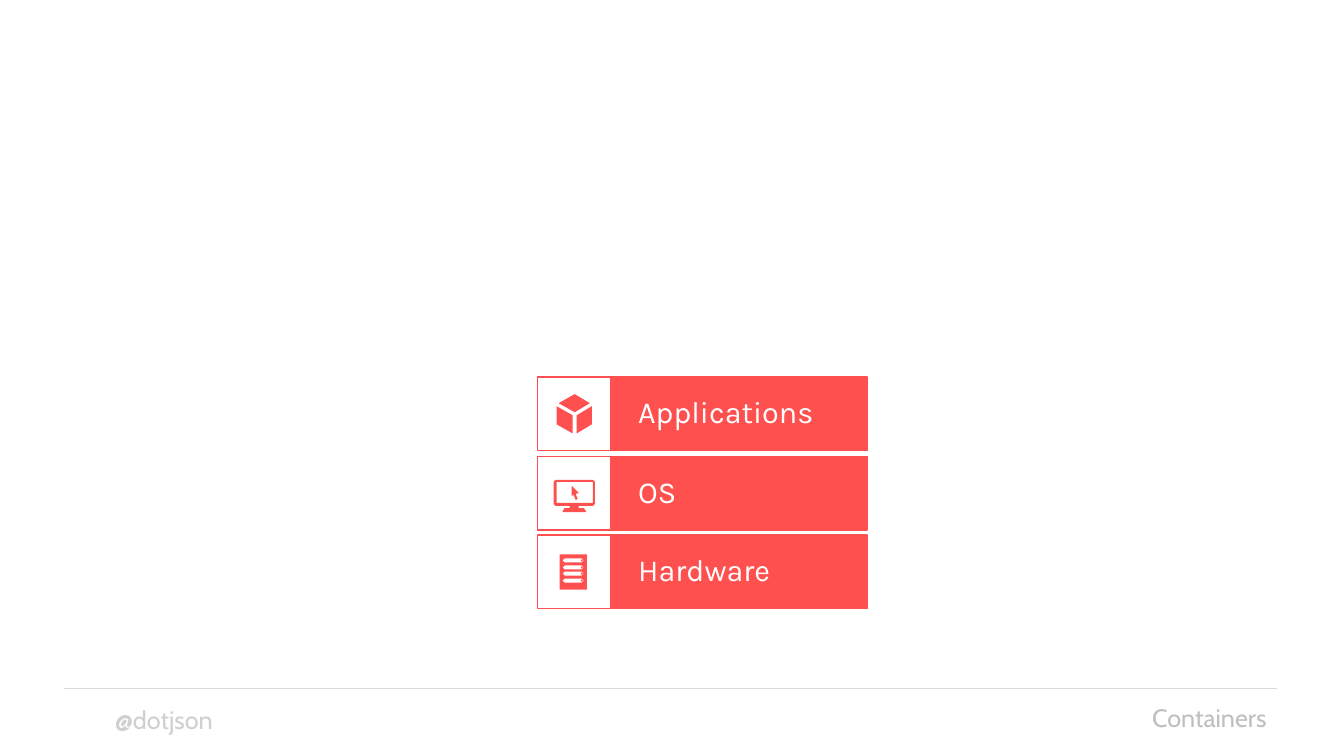
from dataclasses import dataclass

import pptx
import pptx.dml.color
import pptx.enum.shapes
import pptx.enum.text
import pptx.util
from lxml import etree
from pptx.oxml.ns import qn
from pptx.util import Inches


@dataclass(frozen=True)
class Theme:
    red: pptx.dml.color.RGBColor = pptx.dml.color.RGBColor(0xFF, 0x50, 0x50)
    white: pptx.dml.color.RGBColor = pptx.dml.color.RGBColor(0xFF, 0xFF, 0xFF)
    rule: pptx.dml.color.RGBColor = pptx.dml.color.RGBColor(0xD9, 0xD9, 0xD9)
    handle: pptx.dml.color.RGBColor = pptx.dml.color.RGBColor(0xD0, 0xCE, 0xCE)
    topic: pptx.dml.color.RGBColor = pptx.dml.color.RGBColor(0xBF, 0xBF, 0xBF)
    label_font: str = "Karla"
    footer_font: str = "Cabin"
    label_size: float = 21.8
    footer_size: float = 18
    line_width: float = 1


theme = Theme()
SHAPE = pptx.enum.shapes.MSO_SHAPE
ALIGN = pptx.enum.text.PP_ALIGN


def add_filled(shapes, kind, box, fill, outline=None):
    shape = shapes.add_shape(kind, *map(Inches, box))
    shape.shadow.inherit = False
    shape.fill.solid()
    shape.fill.fore_color.rgb = fill
    if outline is None:
        shape.line.fill.background()
    else:
        shape.line.color.rgb = outline
        shape.line.width = pptx.util.Pt(theme.line_width)
    return shape


def write_text(shape, text, font, size, colour, align):
    shape.text_frame.word_wrap = True
    shape.text_frame.text = text
    paragraph = shape.text_frame.paragraphs[0]
    paragraph.alignment = align
    run = paragraph.runs[0]
    run.font.name = font
    run.font.size = pptx.util.Pt(size)
    run.font.color.rgb = colour
    return paragraph


presentation = pptx.Presentation()
presentation.slide_width = Inches(13.33)
presentation.slide_height = Inches(7.5)
slide = presentation.slides.add_slide(presentation.slide_layouts[6])

# Footer rule and texts
rule = slide.shapes.add_connector(
    pptx.enum.shapes.MSO_CONNECTOR.STRAIGHT,
    Inches(0.63), Inches(6.83), Inches(12.67), Inches(6.83))
rule.line.color.rgb = theme.rule
rule.line.width = pptx.util.Pt(theme.line_width)
etree.SubElement(rule._element.spPr, qn("a:effectLst"))

for text, box, colour, align in (
    ("@dotjson", (1.04, 6.94, 2.13, 0.4), theme.handle, ALIGN.LEFT),
    ("Containers", (9.08, 6.92, 3.58, 0.4), theme.topic, ALIGN.RIGHT),
):
    footer = slide.shapes.add_textbox(*map(Inches, box))
    write_text(footer, text, theme.footer_font, theme.footer_size, colour, align)

# Icon outlines: each freeform is a list of contours, measured from its tile
cube = [
    [[(0.19, 0.29), (0.35, 0.38), (0.35, 0.56), (0.19, 0.47)]],
    [[(0.39, 0.38), (0.54, 0.29), (0.54, 0.47), (0.39, 0.56)]],
    [[(0.21, 0.26), (0.37, 0.17), (0.52, 0.26), (0.37, 0.35)]],
]
monitor = [
    [[(0.16, 0.25), (0.18, 0.23), (0.55, 0.23), (0.57, 0.25), (0.57, 0.47),
      (0.55, 0.49), (0.41, 0.49), (0.41, 0.51), (0.46, 0.51), (0.48, 0.54),
      (0.48, 0.55), (0.25, 0.55), (0.25, 0.54), (0.27, 0.51), (0.32, 0.51),
      (0.32, 0.49), (0.18, 0.49), (0.16, 0.47)],
     [(0.19, 0.25), (0.19, 0.46), (0.55, 0.46), (0.55, 0.25)]],
    [[(0.34, 0.29), (0.41, 0.36), (0.38, 0.37), (0.40, 0.42), (0.38, 0.43),
      (0.36, 0.38), (0.34, 0.39)]],
]
slot_tops = (0.23, 0.30, 0.36, 0.43)
server = [
    [[(0.22, 0.19), (0.49, 0.19), (0.49, 0.54), (0.22, 0.54)]]
    + [[(0.25, top + 0.02), (0.27, top + 0.04), (0.44, top + 0.04),
        (0.46, top + 0.02), (0.44, top), (0.27, top)] for top in slot_tops],
]

# Stack of layers: label bar, icon tile and icon
tile_left, tile_size, bar_width = 5.33, 0.73, 2.54
for name, layer_top, icon, light_tops in (
    ("Applications", 3.74, cube, ()),
    ("OS", 4.53, monitor, ()),
    ("Hardware", 5.31, server, slot_tops),
):
    bar = add_filled(slide.shapes, SHAPE.RECTANGLE,
                     (tile_left + tile_size, layer_top, bar_width, tile_size),
                     theme.red, theme.red)
    frame = bar.text_frame
    frame.margin_left = frame.margin_right = Inches(0.27)
    frame.margin_top = frame.margin_bottom = Inches(0.22)
    frame.vertical_anchor = pptx.enum.text.MSO_ANCHOR.MIDDLE
    label = write_text(bar, name, theme.label_font, theme.label_size,
                       theme.white, ALIGN.LEFT)
    label.line_spacing = 0.9

    group = slide.shapes.add_group_shape()
    add_filled(group.shapes, SHAPE.RECTANGLE,
               (tile_left, layer_top, tile_size, tile_size), theme.white, theme.red)
    for contours in icon:
        placed = [[(Inches(tile_left + x), Inches(layer_top + y)) for x, y in contour]
                  for contour in contours]
        builder = group.shapes.build_freeform(*placed[0][0])
        builder.add_line_segments(placed[0][1:], close=True)
        for hole in placed[1:]:
            builder.move_to(*hole[0])
            builder.add_line_segments(hole[1:], close=True)
        part = builder.convert_to_shape()
        part.shadow.inherit = False
        part.fill.solid()
        part.fill.fore_color.rgb = theme.red
        part.line.fill.background()
    for top in light_tops:
        add_filled(group.shapes, SHAPE.OVAL,
                   (tile_left + 0.43, layer_top + top + 0.01, 0.02, 0.02), theme.red)

presentation.save("out.pptx")
